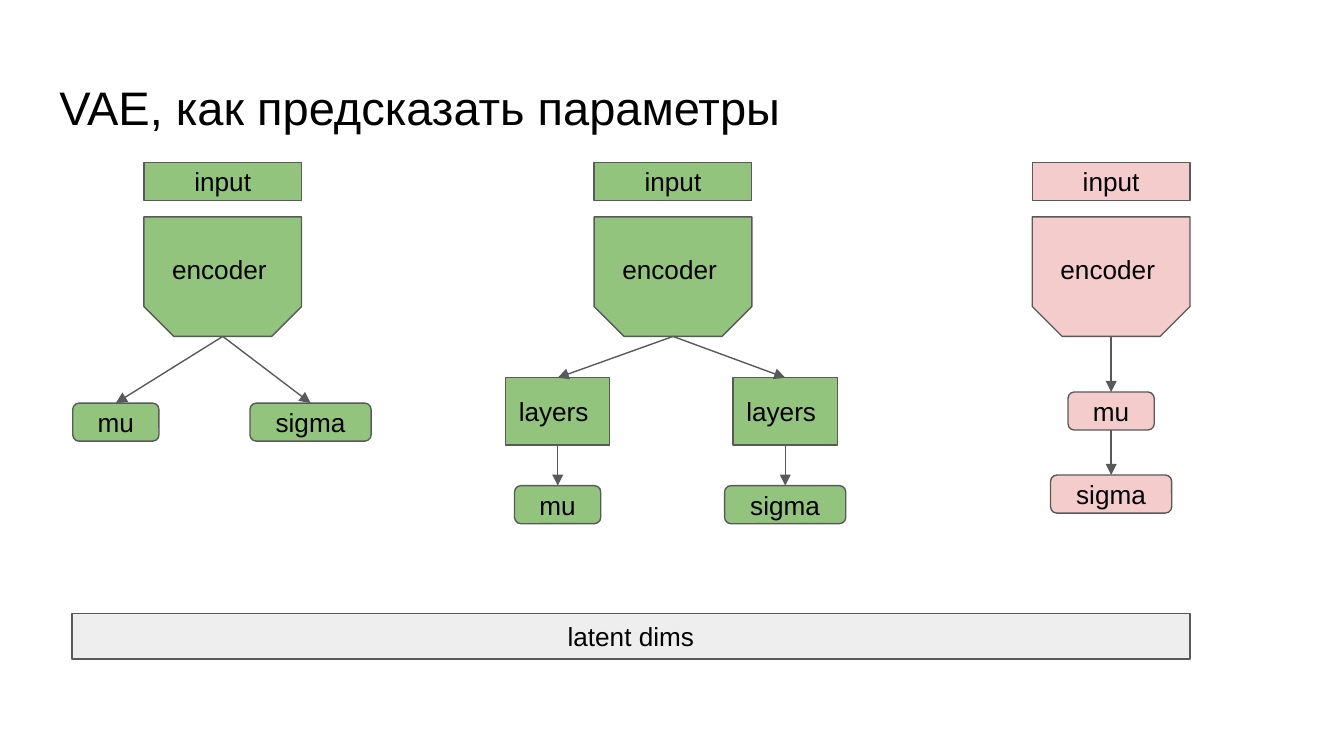
import pptx
import pptx.dml.color
import pptx.enum.shapes
import pptx.enum.text
import pptx.oxml
import pptx.util
from lxml import etree

Cm = pptx.util.Cm
Pt = pptx.util.Pt
RGB = pptx.dml.color.RGBColor
SHAPES = pptx.enum.shapes.MSO_SHAPE
ALIGN = pptx.enum.text.PP_ALIGN
ANCHOR = pptx.enum.text.MSO_ANCHOR

BLACK = RGB(0x00, 0x00, 0x00)
WHITE = RGB(0xFF, 0xFF, 0xFF)
GREEN = RGB(0x93, 0xC4, 0x7D)
PINK = RGB(0xF4, 0xCC, 0xCC)
PALE_GREY = RGB(0xEE, 0xEE, 0xEE)
DARK_GREY = RGB(0x59, 0x59, 0x59)

INSET = Cm(0.25)
FRAME_FORMAT = {"margin_left": INSET, "margin_right": INSET, "margin_top": INSET,
                "margin_bottom": INSET, "word_wrap": True}
LABEL_FORMAT = {"name": "Arial", "size": Pt(14)}
TITLE_FORMAT = {"name": "Arial", "size": Pt(25.2), "bold": False}

# Sizes in cm
ROW_HEIGHT = 0.72
ENCODER_HEIGHT = 2.26
LAYERS_SIZE = (1.97, 1.27)
OUTPUT_WIDTHS = {"mu": 1.63, "sigma": 2.29}


def apply_format(target, values):
    for attribute, value in values.items():
        setattr(target, attribute, value)


def write_text(holder, text, font_format, align, anchor):
    frame = holder.text_frame
    apply_format(frame, {**FRAME_FORMAT, "vertical_anchor": anchor})
    paragraph = frame.paragraphs[0]
    paragraph.alignment = align
    run = paragraph.add_run()
    run.text = text
    apply_format(run.font, font_format)
    run.font.color.rgb = BLACK


def add_block(slide, kind, box, text, fill, align=ALIGN.CENTER):
    block = slide.shapes.add_shape(kind, *map(Cm, box))
    block.shadow.inherit = False
    block.fill.solid()
    block.fill.fore_color.rgb = fill
    block.line.color.rgb = DARK_GREY
    block.line.width = Pt(0.75)
    write_text(block, text, LABEL_FORMAT, align, ANCHOR.MIDDLE)
    return block


def add_output(slide, center, top, text, fill):
    width = OUTPUT_WIDTHS[text]
    box = (center - width / 2, top, width, ROW_HEIGHT)
    return add_block(slide, SHAPES.ROUNDED_RECTANGLE, box, text, fill)


def add_arrow(slide, start, target, source=None):
    """Arrow from a point, or from the bottom of source, to the top of target."""
    arrow = slide.shapes.add_connector(
        pptx.enum.shapes.MSO_CONNECTOR.STRAIGHT, *start, *start)
    if source is not None:
        arrow.begin_connect(source, 2)
    arrow.end_connect(target, 0)
    arrow.line.color.rgb = DARK_GREY
    arrow.line.width = Pt(0.75)
    head = etree.SubElement(arrow.line._get_or_add_ln(), pptx.oxml.ns.qn("a:tailEnd"))
    head.set("type", "triangle")
    etree.SubElement(arrow._element.spPr, pptx.oxml.ns.qn("a:effectLst"))


def bottom_center(block):
    return block.left + block.width // 2, block.top + block.height


def add_encoder(slide, box, fill):
    """Input above the encoder, which stands at the foot of the box."""
    left, top, width, height = box
    add_block(slide, SHAPES.RECTANGLE, (left, top, width, ROW_HEIGHT), "input", fill)
    encoder_box = (left, top + height - ENCODER_HEIGHT, width, ENCODER_HEIGHT)
    encoder = add_block(slide, SHAPES.SNIP_2_SAME_RECTANGLE, encoder_box,
                        "encoder", fill, ALIGN.LEFT)
    encoder.adjustments[0] = 0
    encoder.adjustments[1] = 0.25
    return bottom_center(encoder)


def add_split_outputs(slide, box, offsets, fill):
    """Encoder with two direct outputs."""
    left, top, width, height = box
    fork = add_encoder(slide, box, fill)
    for text, offset in offsets.items():
        output = add_output(slide, left + width / 2 + offset, top + height + 1.26, text, fill)
        add_arrow(slide, fork, output)


def add_layered_outputs(slide, box, offsets, fill):
    """Encoder with separate layers before each output."""
    left, top, width, height = box
    fork = add_encoder(slide, box, fill)
    layers_top = top + height + 0.78
    for text, offset in offsets.items():
        center = left + width / 2 + offset
        layers_box = (center - LAYERS_SIZE[0] / 2, layers_top, *LAYERS_SIZE)
        layers = add_block(slide, SHAPES.RECTANGLE, layers_box, "layers", fill, ALIGN.LEFT)
        output = add_output(slide, center, layers_top + LAYERS_SIZE[1] + 0.77, text, fill)
        add_arrow(slide, fork, layers)
        add_arrow(slide, bottom_center(layers), output, layers)


def add_chained_outputs(slide, box, fill):
    """Encoder followed by mu, then sigma."""
    left, top, width, height = box
    start, source = add_encoder(slide, box, fill), None
    for text, drop in (("mu", 1.05), ("sigma", 2.62)):
        output = add_output(slide, left + width / 2, top + height + drop, text, fill)
        add_arrow(slide, start, output, source)
        start, source = bottom_center(output), output


def add_title(slide, box, text):
    title = slide.shapes.title
    apply_format(title, dict(zip(("left", "top", "width", "height"), map(Cm, box))))
    write_text(title, text, TITLE_FORMAT, ALIGN.LEFT, ANCHOR.TOP)


def main():
    deck = pptx.Presentation()
    deck.slide_width, deck.slide_height = Cm(25.4), Cm(14.29)
    slide = deck.slides.add_slide(deck.slide_layouts[5])
    slide.background.fill.solid()
    slide.background.fill.fore_color.rgb = WHITE

    add_title(slide, (0.87, 1.24, 23.67, 1.6), "VAE, как предсказать параметры")

    # Three ways to predict the parameters
    top, width, height = 3.07, 2.98, 3.29
    add_split_outputs(slide, (2.72, top, width, height),
                      {"mu": -2.02, "sigma": 1.66}, GREEN)
    add_layered_outputs(slide, (11.23, top, width, height),
                        {"mu": -2.18, "sigma": 2.12}, GREEN)
    add_chained_outputs(slide, (19.51, top, width, height), PINK)

    # Shared latent space
    add_block(slide, SHAPES.RECTANGLE, (1.36, 11.6, 21.13, 0.86), "latent dims", PALE_GREY)

    deck.save("out.pptx")


if __name__ == "__main__":
    main()
